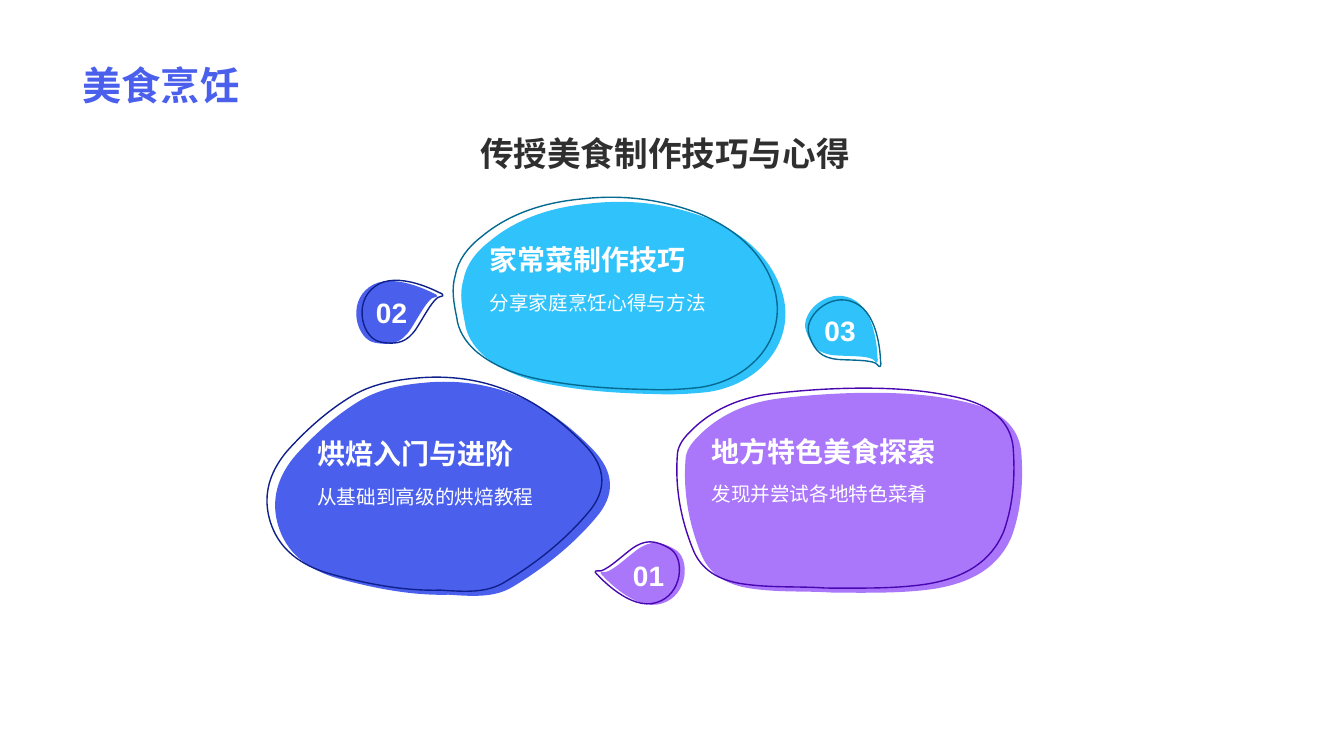
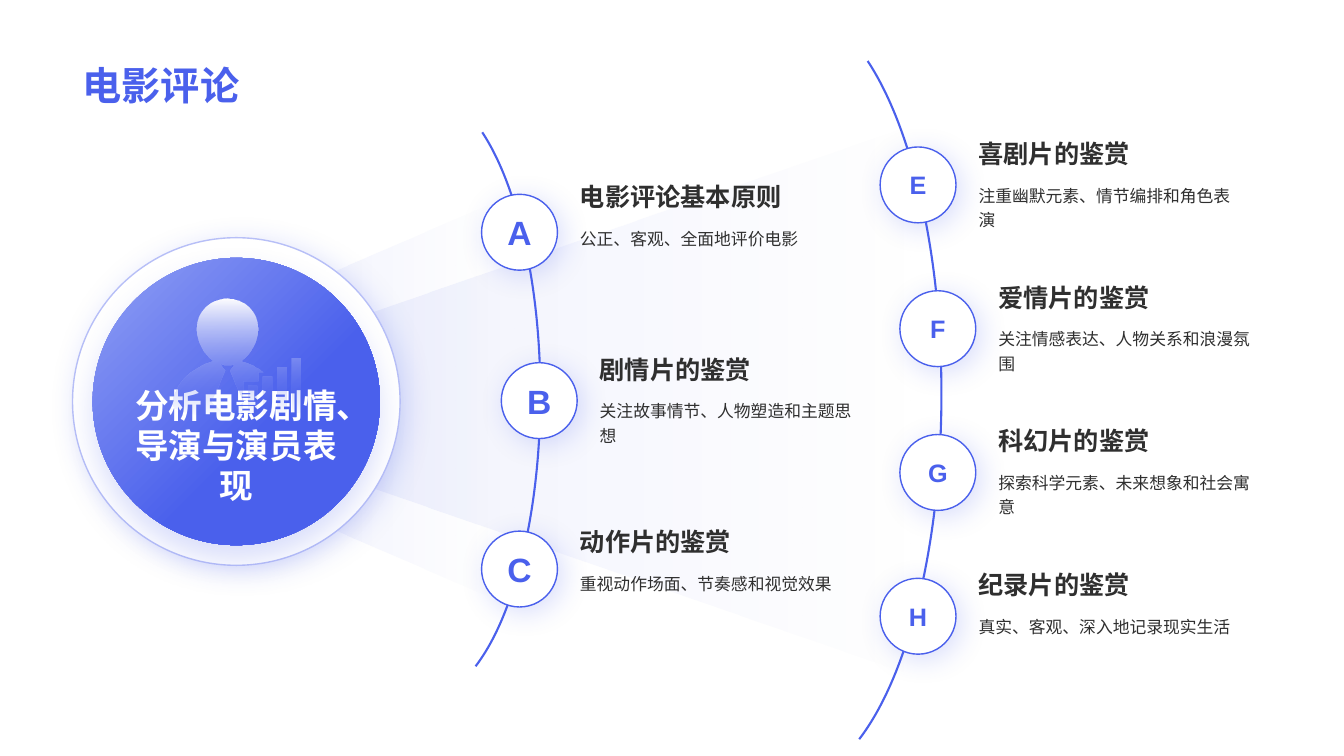
import math

from lxml import etree
from pptx import Presentation
from pptx.dml.color import RGBColor
from pptx.enum.lang import MSO_LANGUAGE_ID
from pptx.enum.shapes import MSO_SHAPE
from pptx.enum.text import MSO_ANCHOR, PP_ALIGN
from pptx.oxml.ns import qn
from pptx.util import Pt

OVAL, ARC, TRAPEZOID = MSO_SHAPE.OVAL, MSO_SHAPE.ARC, MSO_SHAPE.TRAPEZOID
TOP, MIDDLE, BOTTOM = MSO_ANCHOR.TOP, MSO_ANCHOR.MIDDLE, MSO_ANCHOR.BOTTOM
LEFT, CENTER = PP_ALIGN.LEFT, PP_ALIGN.CENTER
CHINESE = MSO_LANGUAGE_ID.SIMPLIFIED_CHINESE

FONT = "Arial"
INDIGO, CYAN, PURPLE = "4A60EC", "30C2FA", "AA77FA"
INDIGO_DARK, CYAN_DARK, PURPLE_DARK = "0F208C", "046A91", "4907B2"
INK, WHITE, RING, INDIGO_LIGHT = "2F2F2F", "FFFFFF", "B7BFF7", "92A0F4"

# Outlines in points: a start, then lines (2 numbers) or Bezier curves (6 numbers).
CYAN_BLOB = [
    (469, 281.5), (440, 281, 414, 279, 388, 273.6), (372, 270, 357, 264, 345, 253.5),
    (338, 247, 333, 239, 332, 230), (330, 220, 328, 210, 331, 200),
    (333, 189, 340, 180, 349, 173), (369, 156, 394, 148, 420.5, 145.5),
    (450, 142, 478, 145.5, 505.5, 156), (529, 166, 548, 181, 557, 204),
    (571, 239, 547, 273.6, 506, 280), (492.5, 281.5, 479.5, 282, 469, 281.5),
]
PURPLE_BLOB = [
    (595.5, 423.4), (577.5, 422, 557, 423.4, 537, 420.5),
    (518.5, 418, 506, 409.7, 500.5, 395), (492, 373.7, 488, 352, 489.6, 329),
    (489.6, 323, 493, 317.5, 498, 312.5), (513, 296.6, 534, 287, 558.7, 284.4),
    (584.6, 281.5, 610.6, 280, 637, 280.8), (657, 281.5, 677, 283.7, 695.5, 288.7),
    (715, 294.5, 727, 304.6, 729.4, 321.8), (731, 342, 730, 362, 723, 382.3),
    (714, 404.6, 695, 416, 668, 420.5), (645, 424, 621, 423.4, 595.5, 423.4),
]
INDIGO_BLOB = [
    (320.4, 424.8), (295, 425.5, 268, 420.5, 241, 413),
    (217.4, 406, 201.6, 392.4, 197.3, 369.4), (194.4, 353, 200, 338.4, 211, 325.4),
    (224.6, 310.3, 239.8, 296.6, 257.8, 285.8), (273, 277, 290, 274.3, 308, 273),
    (356.4, 270, 393, 289.4, 423.4, 321), (439, 337, 440, 353.5, 425.5, 370),
    (409, 389.5, 389, 405.4, 366.5, 419), (353.5, 427, 338.4, 426, 320.4, 424.8),
]
DROP = [
    (28.4, -14.8), (28.4, -14.8, -1.8, -31.3, -17.6, -19.1),
    (-33.5, -7.6, -26.3, 18.4, -13.3, 20.5), (-1.1, 22.7, 5.4, 20.5, 11.9, 11.2),
    (17.6, 2.5, 24.8, -11.9, 29.2, -11.9), (33.5, -12.6, 29.2, -14.8, 28.4, -14.8),
]
PERSON = [
    (162.7, 213.1), (174.2, 213.1, 184.3, 222.5, 184.3, 234.7),
    (184.3, 243.4, 179.3, 252.7, 172.1, 257.8),
    (178.6, 259.2, 183.6, 262.1, 187.9, 265.7),
    (184.3, 265.7), (184.3, 272.2), (173.5, 272.2), (173.5, 297.4), (162.7, 297.4),
    (173.5, 286.6), (164.2, 264.2), (167.8, 259.9),
    (166.3, 260.6, 164.2, 260.6, 162.7, 260.6), (160.6, 260.6, 159.1, 260.6, 157, 259.9),
    (160.6, 264.2), (151.2, 286.6), (162.7, 297.4),
    (142.6, 297.4, 123.1, 294.5, 123.1, 288), (123.1, 276.5, 135.4, 262.1, 152.6, 257.8),
    (145.4, 252.7, 140.4, 243.4, 140.4, 234.7), (140.4, 222.5, 150.5, 213.1, 162.7, 213.1),
]


def rgb(value):
    return RGBColor.from_string(value)


def write(frame, text, size=12, color=INK, bold=False, align=LEFT, anchor=TOP,
          spacing=None, after=None):
    """Fill a text frame with one formatted paragraph."""
    frame.word_wrap = True
    frame.vertical_anchor = anchor
    para = frame.paragraphs[0]
    para.alignment = align
    if spacing:
        para.line_spacing = spacing
    if after:
        para.space_after = Pt(after)
    span = para.add_run()
    span.text = text
    font = span.font
    font.size, font.bold, font.name = Pt(size), bold, FONT
    font.color.rgb = rgb(color)
    font.language_id = CHINESE
    etree.SubElement(span._r.get_or_add_rPr(), qn("a:ea"), typeface=FONT)


def add_text(page, left, top, width, height, text, **style):
    box = page.shapes.add_textbox(Pt(left), Pt(top), Pt(width), Pt(height))
    write(box.text_frame, text, **style)


def add_page(deck, title):
    page = deck.slides.add_slide(deck.slide_layouts[5])
    holder = page.shapes.title
    holder.left, holder.top = Pt(51.8), Pt(10.1)
    holder.width, holder.height = Pt(855.4), Pt(70.6)
    write(holder.text_frame, title, size=28, color=INDIGO, bold=True, anchor=BOTTOM)
    return page


def add_color(parent, value, alpha):
    color = etree.SubElement(parent, qn("a:srgbClr"), val=value)
    etree.SubElement(color, qn("a:alpha"), val=str(alpha * 1000))


def set_gradient(shape, stops, angle):
    """Fill with stops of (percent, colour, opacity percent)."""
    shape.fill.gradient()
    gradient = shape._element.spPr.find(qn("a:gradFill"))
    gradient.set("rotWithShape", "1")
    for child in list(gradient):
        gradient.remove(child)
    stop_list = etree.SubElement(gradient, qn("a:gsLst"))
    for percent, value, alpha in stops:
        stop = etree.SubElement(stop_list, qn("a:gs"), pos=str(percent * 1000))
        add_color(stop, value, alpha)
    etree.SubElement(gradient, qn("a:lin"), ang=str(angle * 60000), scaled="0")


def set_shadow(shape, distance, direction):
    effects = shape._element.spPr.find(qn("a:effectLst"))
    shadow = etree.SubElement(
        effects, qn("a:outerShdw"), blurRad=str(Pt(20)), dist=str(Pt(distance)),
        dir=str(direction * 60000), algn="ctr", rotWithShape="0")
    add_color(shadow, INDIGO, 20)


def paint(shape, fill=None, line=None, weight=1):
    shape.shadow.inherit = False
    if fill:
        shape.fill.solid()
        shape.fill.fore_color.rgb = rgb(fill)
    else:
        shape.fill.background()
    if line:
        shape.line.color.rgb = rgb(line)
        shape.line.width = Pt(weight)
    else:
        shape.line.fill.background()
    return shape


def add_shape(page, kind, left, top, width, height, **style):
    shape = page.shapes.add_shape(kind, Pt(left), Pt(top), Pt(width), Pt(height))
    return paint(shape, **style)


def pairs(segment):
    return list(zip(segment[::2], segment[1::2]))


def place(outline, x, y, degrees=0):
    """Rotate an outline about the origin, then move it by x and y."""
    cos, sin = math.cos(math.radians(degrees)), math.sin(math.radians(degrees))
    return [tuple(value for px, py in pairs(segment)
                  for value in (x + px * cos - py * sin, y + px * sin + py * cos))
            for segment in outline]


def bend_curves(shape, contours):
    """Turn each three lines that stand for a Bezier curve into that curve."""
    lines = iter(list(shape._element.spPr.iter(qn("a:lnTo"))))
    for contour in contours:
        for segment in contour[1:]:
            group = [next(lines) for _ in pairs(segment)]
            if len(group) == 1:
                continue
            curve = etree.Element(qn("a:cubicBezTo"))
            group[0].addprevious(curve)
            for line in group:
                curve.append(line[0])
                line.getparent().remove(line)


def add_outline(page, contours, **style):
    builder = None
    for contour in contours:
        start, *rest = [(Pt(x), Pt(y)) for segment in contour for x, y in pairs(segment)]
        if builder is None:
            builder = page.shapes.build_freeform(*start)
        else:
            builder.move_to(*start)
        builder.add_line_segments(rest, close=True)
    shape = builder.convert_to_shape()
    bend_curves(shape, contours)
    return paint(shape, **style)


def add_sketch(page, outline, fill, line, shift):
    """Draw a filled outline and the same outline as a shifted line."""
    add_outline(page, [outline], fill=fill)
    add_outline(page, [place(outline, *shift)], line=line)


def add_blob(page, outline, fill, line, left, top, width, heights, heading, body):
    add_sketch(page, outline, fill, line, (-5.8, -3.3))
    add_text(page, left, top, width, heights[0], heading,
             size=20, color=WHITE, bold=True, anchor=BOTTOM)
    add_text(page, left, top + heights[0], width, heights[1], body,
             size=14, color=WHITE, spacing=1.2)


def add_drop(page, fill, line, center, degrees, shift, number, number_center):
    add_sketch(page, place(DROP, *center, degrees), fill, line, shift)
    side = 41
    x, y = number_center
    add_text(page, x - side / 2, y - side / 2, side, side, number,
             size=20, color=WHITE, bold=True, align=CENTER, anchor=MIDDLE)


def add_beam(page, left, top, width, height):
    beam = add_shape(page, TRAPEZOID, left, top, width, height)
    beam.adjustments[0] = 0.435
    beam.rotation = 270
    set_gradient(beam, [(0, INDIGO, 10), (100, INDIGO, 0)], 90)


def add_arc(page, left, top, width, height):
    arc = add_shape(page, ARC, left, top, width, height, line=INDIGO, weight=1.5)
    arc.adjustments[0], arc.adjustments[1] = 169.65, 47.415


def add_node_column(page, items, left, top, step, text_top, text_step, size):
    """Place lettered circles along an arc, with heading and body beside each."""
    for row, (letter, heading, body) in enumerate(items):
        x = left if row in (0, len(items) - 1) else left + 14.1
        node = add_shape(page, OVAL, x, top + row * step, 54.2, 54.2, fill=WHITE, line=INDIGO)
        set_shadow(node, 5, 45)
        write(node.text_frame, letter, size=size, color=INDIGO, bold=True,
              align=CENTER, anchor=MIDDLE)
        y = text_top + row * text_step
        add_text(page, x + 63.2, y, 198.7, 28.8, heading, size=18, bold=True, anchor=BOTTOM)
        add_text(page, x + 63.2, y + 31, 198.7, 43.2, body, spacing=1.2)


def add_analyst_icon(page):
    bars = []
    for index in range(4):
        left, top = 177.1 + 10.4 * index, 275 - 6.5 * index
        bars.append([(left, top), (left + 6.6, top), (left + 6.6, 294.5), (left, 294.5)])
    icon = add_outline(page, bars + [PERSON])
    set_gradient(icon, [(0, WHITE, 100), (100, INDIGO, 0)], 90)


def build_cooking(deck):
    page = add_page(deck, "美食烹饪")
    add_text(page, 135.4, 91.4, 679, 49, "传授美食制作技巧与心得", size=24, bold=True, align=CENTER)
    add_blob(page, CYAN_BLOB, CYAN, CYAN_DARK, 342.7, 159.8, 198.7, (41, 64),
             "家常菜制作技巧", "分享家庭烹饪心得与方法")
    add_blob(page, PURPLE_BLOB, PURPLE, PURPLE_DARK, 501.1, 300.2, 211, (37.4, 62),
             "地方特色美食探索", "发现并尝试各地特色菜肴")
    add_blob(page, INDIGO_BLOB, INDIGO, INDIGO_DARK, 219.6, 295.2, 200.2, (44.2, 67),
             "烘焙入门与进阶", "从基础到高级的烘焙教程")
    add_drop(page, CYAN, CYAN_DARK, (600.1, 238), 61, (2.2, 2.9), "03", (600.1, 235.8))
    add_drop(page, PURPLE, PURPLE_DARK, (462.6, 407.2), 199.8, (-3.8, -0.7), "01", (463.3, 410.8))
    add_drop(page, INDIGO, INDIGO_DARK, (281.2, 224.3), 0, (4.1, -0.5), "02", (279.7, 222.8))


def build_film(deck):
    page = add_page(deck, "电影评论")
    add_beam(page, 121, 193, 288.7, 186.5)
    add_beam(page, 213.8, 28.8, 409.7, 514.1)
    ring = add_shape(page, OVAL, 51.8, 169.8, 234, 234, fill=WHITE, line=RING)
    set_shadow(ring, 5, 45)
    disc = add_shape(page, OVAL, 66.2, 184.2, 205.2, 205.2)
    set_gradient(disc, [(0, INDIGO_LIGHT, 100), (60, INDIGO, 100)], 45)
    set_shadow(disc, 10, 90)
    add_arc(page, 218.2, 64.8, 167.8, 434.2)
    add_arc(page, 459.4, 5.8, 213.1, 551.5)
    add_text(page, 77.8, 270.7, 181.4, 94.3, "分析电影剧情、导演与演员表现", size=24,
             color=WHITE, bold=True, align=CENTER, anchor=MIDDLE, after=10)
    add_analyst_icon(page)
    add_node_column(page, [
        ("A", "电影评论基本原则", "公正、客观、全面地评价电影"),
        ("B", "剧情片的鉴赏", "关注故事情节、人物塑造和主题思想"),
        ("C", "动作片的鉴赏", "重视动作场面、节奏感和视觉效果"),
    ], left=344, top=138.8, step=120.3, text_top=126, text_step=123.1, size=24)
    add_node_column(page, [
        ("E", "喜剧片的鉴赏", "注重幽默元素、情节编排和角色表演"),
        ("F", "爱情片的鉴赏", "关注情感表达、人物关系和浪漫氛围"),
        ("G", "科幻片的鉴赏", "探索科学元素、未来想象和社会寓意"),
        ("H", "纪录片的鉴赏", "真实、客观、深入地记录现实生活"),
    ], left=628.7, top=105, step=102.7, text_top=95, text_step=102.7, size=18)


def main():
    deck = Presentation()
    deck.slide_width, deck.slide_height = Pt(960), Pt(540)
    build_cooking(deck)
    build_film(deck)
    deck.save("out.pptx")


if __name__ == "__main__":
    main()
